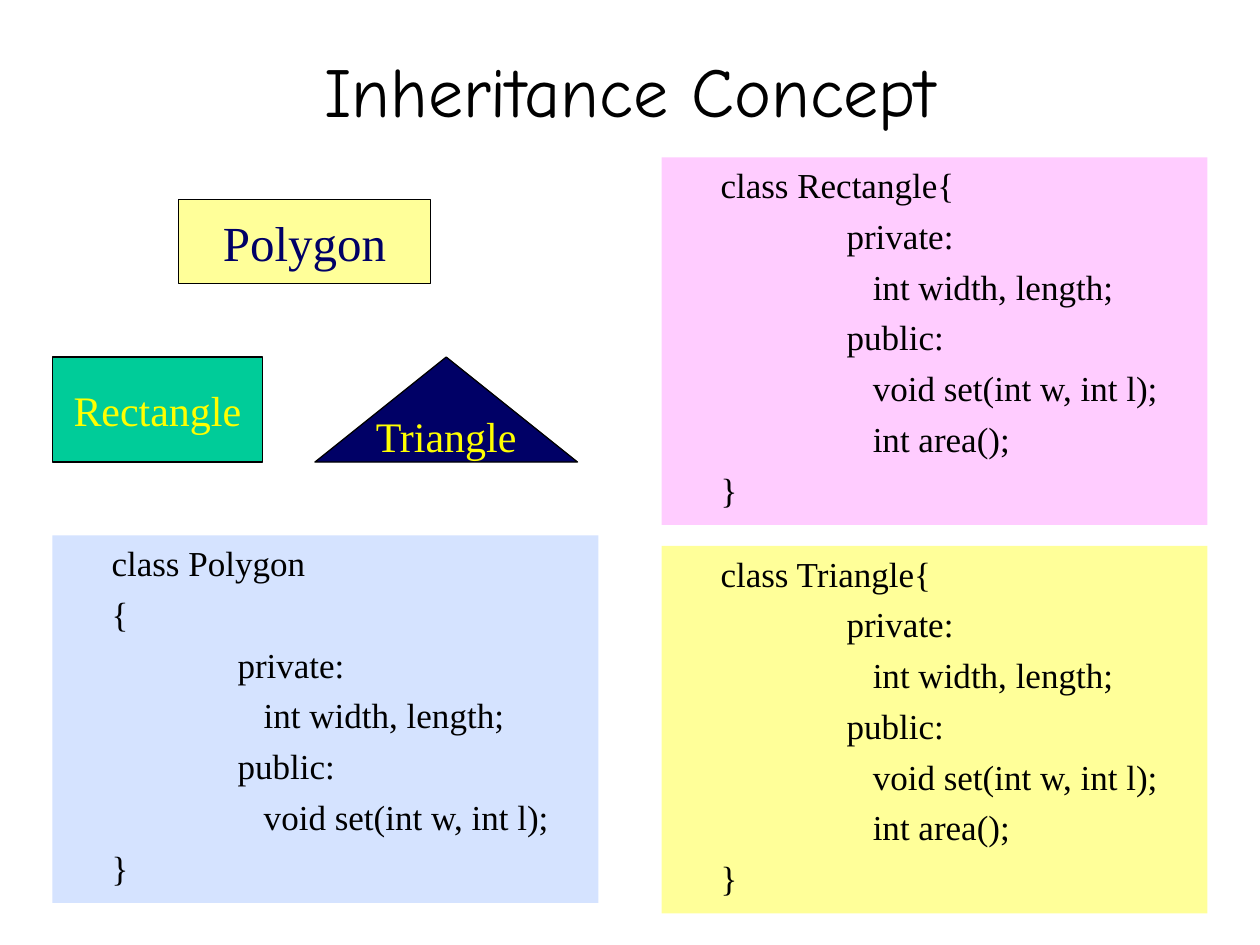
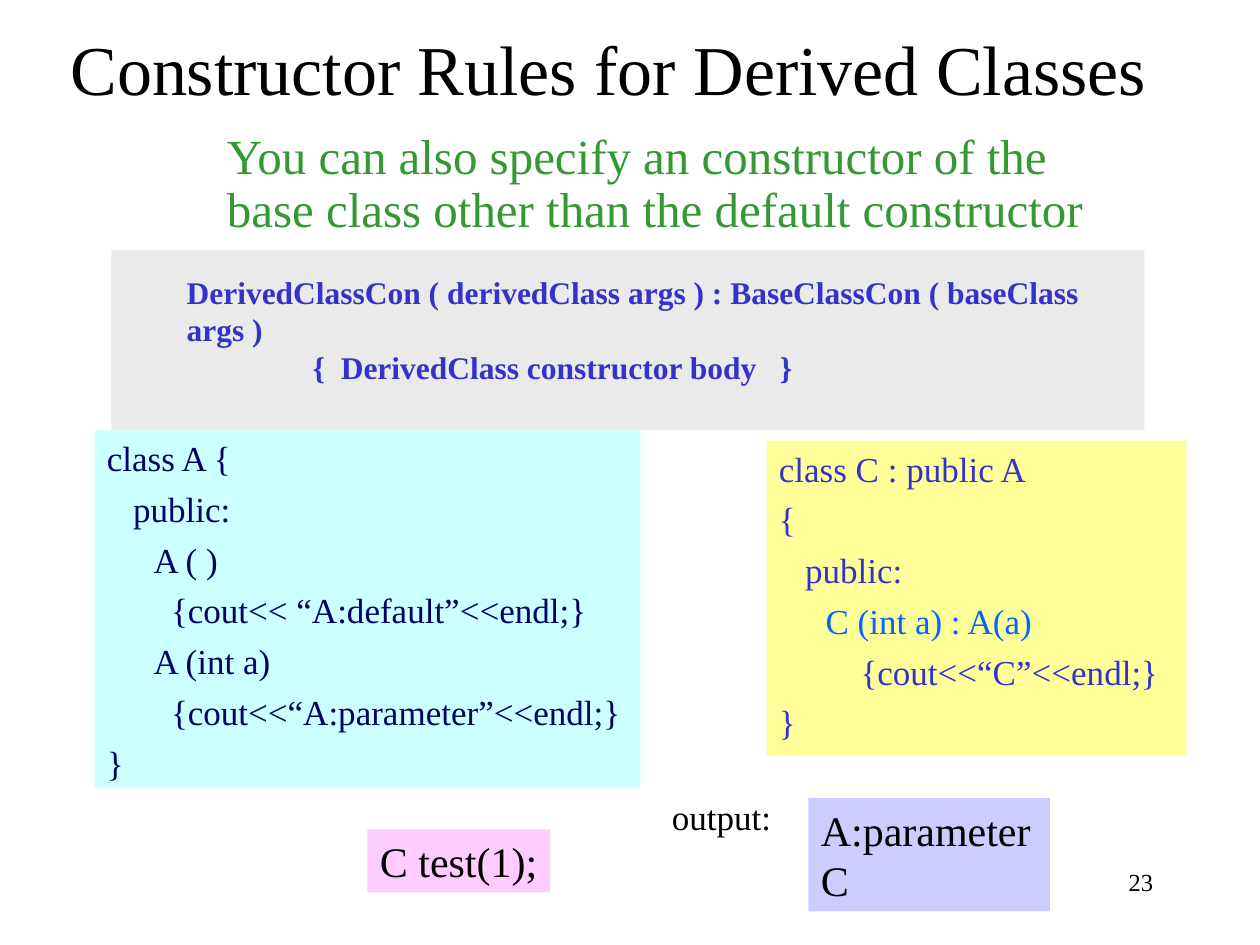
from collections import namedtuple
from pptx import Presentation
from pptx.dml.color import RGBColor
from pptx.enum.shapes import MSO_SHAPE as Geo
from pptx.enum.text import MSO_ANCHOR as Anchor, PP_ALIGN as Align
from pptx.util import Inches, Pt

# Grid: 120 columns by 90 rows, twelve cells to the inch
COLS, ROWS = 120, 90
CELL = Inches(10) / COLS
SERIF, COMIC = "Times New Roman", "Comic Neue"
BLACK, NAVY, BLUE, YELLOW = "000000", "000066", "3333CC", "FFFF00"
PINK, CREAM = "FFCCFF", "FFFF99"
HANG = 0.37

Box = namedtuple("Box", "x y w h")


def cut(box, x, y, w, h):
    """Box whose corner lies x columns and y rows inside another."""
    return Box(box.x + x, box.y + y, w, h)


def tint(color):
    return RGBColor.from_string(color)


def write(shape, lines, size, color=BLACK, font=SERIF, bold=False,
          align=Align.LEFT, anchor=Anchor.TOP, wrap=True, top=0.05,
          stops=(0,), gap=0, pitch=None):
    """Fill a shape with lines; a line may be a (text, colour) pair.

    The tabs that lead a line choose its left margin from the stops.
    """
    frame = shape.text_frame
    frame.word_wrap = wrap
    frame.vertical_anchor = anchor
    frame.margin_top = Inches(top)
    for num, line in enumerate(lines):
        text, ink = line if isinstance(line, tuple) else (line, color)
        para = frame.add_paragraph() if num else frame.paragraphs[0]
        para.add_run().text = text.lstrip("\t")
        props = para._p.get_or_add_pPr()
        props.set("marL", str(Inches(stops[text.count("\t")])))
        props.set("indent", "0")
        para.alignment = align
        if num and gap:
            para.space_before = Pt(gap)
        if pitch:
            para.line_spacing = pitch
        para.font.name, para.font.size = font, Pt(size)
        para.font.bold = bold
        para.font.color.rgb = tint(ink)


def label(slide, box, lines, size, **style):
    shape = slide.shapes.add_textbox(*(round(v * CELL) for v in box))
    write(shape, lines, size, **style)


def panel(slide, box, fill, lines, size, geo=Geo.RECTANGLE, line=None, **style):
    shape = slide.shapes.add_shape(geo, *(round(v * CELL) for v in box))
    shape.shadow.inherit = False
    shape.fill.solid()
    shape.fill.fore_color.rgb = tint(fill)
    if line:
        shape.line.color.rgb = tint(line)
        shape.line.width = Pt(0.75)
    else:
        shape.line.fill.background()
    write(shape, lines, size, **style)


def title(slide, box, text, font, anchor):
    label(slide, box, [text], 40, font=font, align=Align.CENTER, anchor=anchor)


def code(slide, box, fill, lines, color=BLACK):
    panel(slide, box, fill, lines, 20, color=color,
          stops=(0, HANG, HANG + 1), gap=5)


def family(slide, box):
    """Base shape above its two derived shapes."""
    parts = [
        ("Rectangle", Geo.RECTANGLE, (0, 15, 20, 10), "00CC99", YELLOW, 24),
        ("Triangle", Geo.ISOSCELES_TRIANGLE, (25, 15, 25, 10), NAVY, YELLOW, 24),
        ("Polygon", Geo.RECTANGLE, (12, 0, 24, 8), CREAM, NAVY, 28),
    ]
    for name, geo, place, fill, ink, size in parts:
        panel(slide, cut(box, *place), fill, [name], size, geo=geo, line=BLACK,
              color=ink, align=Align.CENTER, anchor=Anchor.MIDDLE, wrap=False)


def classes(slide, box):
    """Code of the three classes, in two columns."""
    wide, high = 52, 35
    body = ["\t\tprivate:", "\t\t   int width, length;",
            "\t\tpublic:", "\t\t   void set(int w, int l);"]
    area = ["\t\t   int area();"]
    cards = [
        (0, 36, "D5E3FF", ["\tclass Polygon", "\t{"] + body),
        (58, 0, PINK, ["\tclass Rectangle{"] + body + area),
        (58, 37, CREAM, ["\tclass Triangle{"] + body + area),
    ]
    for x, y, fill, lines in cards:
        code(slide, cut(box, x, y, wide, high), fill, lines + ["\t}"])


def rule(slide, box):
    """Rule in words, then its syntax on a grey band."""
    label(slide, cut(box, 5.4, 0, 89, 12),
          ["You can also specify an constructor of the base class "
           "other than the default constructor"],
          28, color="339933", stops=(HANG,), pitch=0.9)
    panel(slide, cut(box, 0, 11.8, box.w, 17.2), "EAEAEA",
          ["DerivedClassCon ( derivedClass args ) : BaseClassCon ( baseClass args )",
           "\t{  DerivedClass constructor body   }"],
          18, color=BLUE, bold=True, stops=(0.5, 1.5), top=0.18)


def sample(slide, box):
    """Base class and derived class side by side."""
    code(slide, cut(box, 0, 0, 52, 34), "CCFFFF",
         ["class A {", "   public:", "\tA ( )",
          "\t  {cout<< “A:default”<<endl;}", "\tA (int a)",
          "\t  {cout<<“A:parameter”<<endl;}", "}"], NAVY)
    code(slide, cut(box, 64, 1, 40, 30), CREAM,
         ["class C : public A", "{", "   public:",
          ("\tC (int a) : A(a)", "0066FF"),
          "\t    {cout<<“C”<<endl;}", "}"], BLUE)


def result(slide, box):
    """Test call and what it prints."""
    panel(slide, cut(box, 0, 3, 17.4, 6), PINK, ["C test(1);"], 24, wrap=False)
    label(slide, cut(box, 27.8, -0.8, 11.9, 5.3), ["output:"], 20, wrap=False)
    panel(slide, cut(box, 42, 0, 23, 10.8), "CCCCFF", ["A:parameter", "C"], 24)


def concept(slide, page):
    title(slide, cut(page, 9, 4, 102, 9), "Inheritance Concept",
          COMIC, Anchor.MIDDLE)
    family(slide, cut(page, 5, 19, 50, 25))
    classes(slide, cut(page, 5, 15, 110, 72))


def rules(slide, page):
    label(slide, cut(page, 86, 82, 25, 6), ["23"], 14, align=Align.RIGHT)
    title(slide, cut(page, 0, 2, 115.9, 9),
          "Constructor Rules for Derived Classes", SERIF, Anchor.BOTTOM)
    rule(slide, cut(page, 10.6, 12, 98.4, 29))
    sample(slide, cut(page, 9, 41, 104, 34))
    result(slide, cut(page, 35, 76, 65, 10.8))


def main():
    deck = Presentation()
    deck.slide_width, deck.slide_height = Inches(10), Inches(7.5)
    page = Box(0, 0, COLS, ROWS)
    for build in (concept, rules):
        build(deck.slides.add_slide(deck.slide_layouts[6]), page)
    deck.save("out.pptx")


if __name__ == "__main__":
    main()
